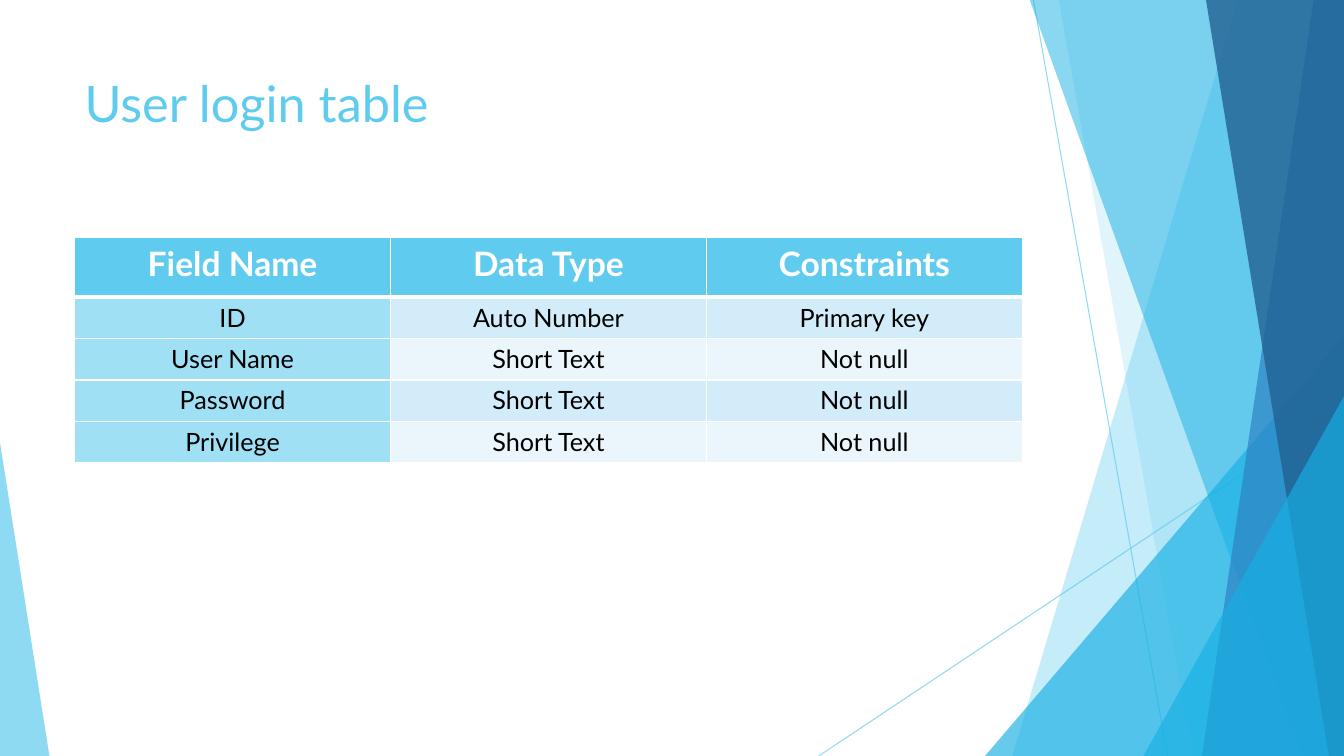
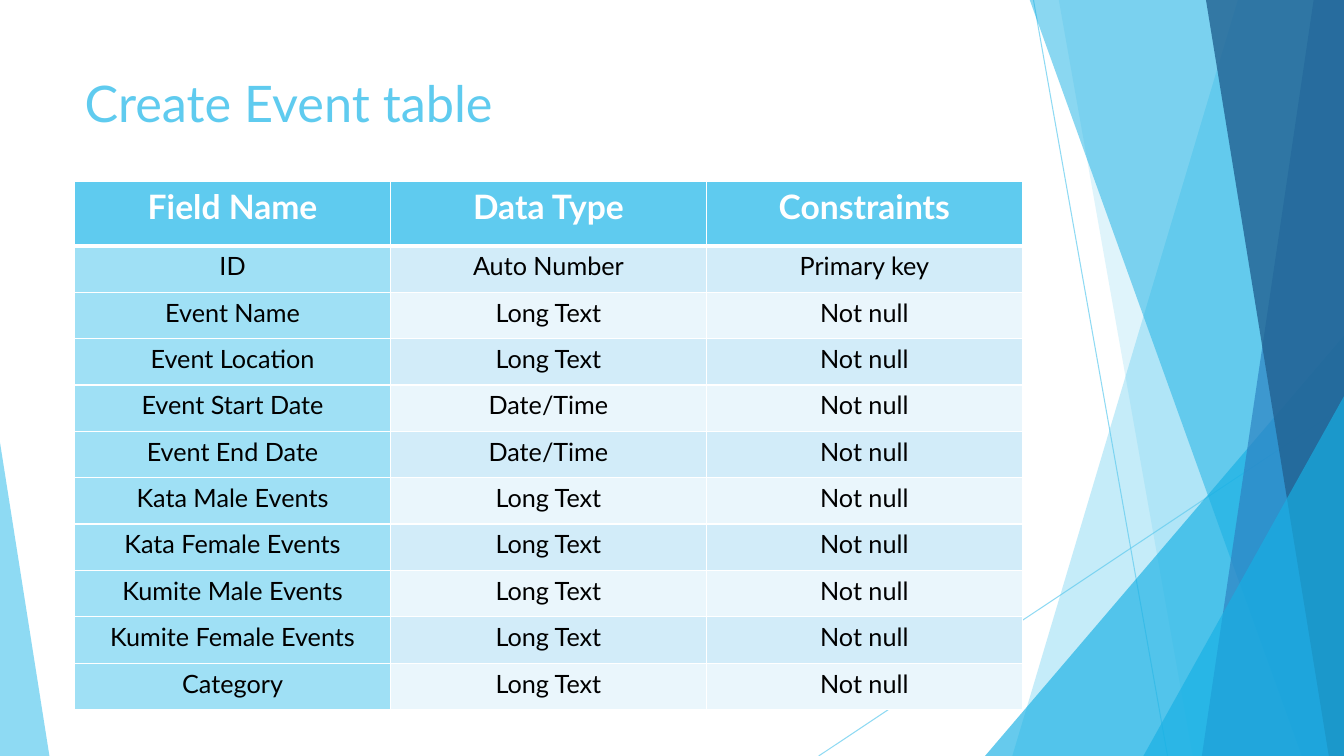
from lxml import etree
from pptx import Presentation
from pptx import util as u
from pptx.dml.color import RGBColor
from pptx.enum import shapes, text
from pptx.oxml import ns

PX = 9144  # EMU per px, 100 px to the inch
WIDTH, HEIGHT = 1333, 750
TOP = -1  # the bands start just above the slide

SKY = RGBColor(0x5F, 0xCB, 0xEF)
CYAN = RGBColor(0x17, 0xB0, 0xE4)
BLUE = RGBColor(0x2E, 0x83, 0xC3)
NAVY = RGBColor(0x22, 0x62, 0x92)
FIRST_COLUMN = RGBColor(0x9F, 0xE0, 0xF5)
DARK_ROW = RGBColor(0xD2, 0xEC, 0xF9)
LIGHT_ROW = RGBColor(0xEA, 0xF6, 0xFC)
WHITE = RGBColor(0xFF, 0xFF, 0xFF)
BLACK = RGBColor(0, 0, 0)

HEADINGS = ("Field Name", "Data Type", "Constraints")
LOGIN_FIELDS = [
    ("ID", "Auto Number", "Primary key"),
    ("User Name", "Short Text", "Not null"),
    ("Password", "Short Text", "Not null"),
    ("Privilege", "Short Text", "Not null"),
]
EVENT_FIELDS = [
    ("ID", "Auto Number", "Primary key"),
    ("Event Name", "Long Text", "Not null"),
    ("Event Location", "Long Text", "Not null"),
    ("Event Start Date", "Date/Time", "Not null"),
    ("Event End Date", "Date/Time", "Not null"),
    ("Kata Male Events", "Long Text", "Not null"),
    ("Kata Female Events", "Long Text", "Not null"),
    ("Kumite Male Events", "Long Text", "Not null"),
    ("Kumite Female Events", "Long Text", "Not null"),
    ("Category", "Long Text", "Not null"),
]


def px(*lengths):
    return [u.Emu(length * PX) for length in lengths]


def set_opacity(shape, percent):
    for color in shape._element.spPr.iter(ns.qn("a:srgbClr")):
        etree.SubElement(color, ns.qn("a:alpha"), val=str(percent * 1000))


class FieldDeck:
    """Holds the style and the current slide."""

    font = "Lato"
    left, content_width = 74, 940

    def __init__(self):
        self.deck = Presentation()
        self.deck.slide_width, self.deck.slide_height = px(WIDTH, HEIGHT)
        self.page = None

    def new_page(self):
        self.page = self.deck.slides.add_slide(self.deck.slide_layouts[6])
        self.backdrop()

    def backdrop(self):
        # Thin crossing lines
        self.line(1025, 0, 1158, HEIGHT)
        self.line(WIDTH, 403, 812, HEIGHT)
        # Overlapping bands on the right
        self.band(1228, 1004, SKY, 36)
        self.band(1050, 1183, SKY, 20)
        self.triangle(977, 333, 356, 1, CYAN, 66)
        self.band(1021, 1291, CYAN, 50)
        self.band(1303, 1192, BLUE, 70)
        self.band(1196, 1318, NAVY, 80)
        self.triangle(1134, 393, 199, 1, CYAN, 66)
        # Wedge in the lower left corner
        self.triangle(0, 439, 49, 0, SKY, 70)

    def line(self, x1, y1, x2, y2):
        line = self.page.shapes.add_connector(
            shapes.MSO_CONNECTOR.STRAIGHT, *px(x1, y1, x2, y2))
        line.line.color.rgb = SKY
        line.line.width = u.Pt(0.75)
        set_opacity(line, 70)
        etree.SubElement(line._element.spPr, ns.qn("a:effectLst"))

    def paint(self, shape, color, opacity):
        shape.shadow.inherit = False
        shape.fill.solid()
        shape.fill.fore_color.rgb = color
        shape.line.fill.background()
        set_opacity(shape, opacity)

    def band(self, top_x, bottom_x, color, opacity):
        """Fill from a slanted left edge to the right edge of the slide."""
        outline = self.page.shapes.build_freeform(top_x, TOP, scale=PX)
        outline.add_line_segments(
            [(WIDTH, TOP), (WIDTH, HEIGHT), (bottom_x, HEIGHT)], close=True)
        self.paint(outline.convert_to_shape(), color, opacity)

    def triangle(self, left, top, width, apex, color, opacity):
        """Stand a triangle on the bottom edge of the slide."""
        shape = self.page.shapes.add_shape(
            shapes.MSO_SHAPE.ISOSCELES_TRIANGLE,
            *px(left, top, width, HEIGHT - top))
        shape.adjustments[0] = apex
        self.paint(shape, color, opacity)

    def add_span(self, para, words, size, color, bold=False):
        span = para.add_run()
        span.text = words
        span.font.name = self.font
        span.font.size = u.Pt(size)
        span.font.bold = bold
        span.font.color.rgb = color

    def title(self, words, height):
        box = self.page.shapes.add_textbox(
            *px(self.left, 67, self.content_width, height))
        box.text_frame.word_wrap = True
        box.text_frame.vertical_anchor = text.MSO_ANCHOR.TOP
        self.add_span(box.text_frame.paragraphs[0], words, 36, SKY)

    def borders(self, cell, top, bottom):
        """Draw white borders; top and bottom widths are in points."""
        props = cell._tc.get_or_add_tcPr()
        for side, width in (("L", 1), ("R", 1), ("T", top), ("B", bottom)):
            edge = etree.SubElement(
                props, ns.qn(f"a:ln{side}"), w=str(int(u.Pt(width))))
            fill = etree.SubElement(edge, ns.qn("a:solidFill"))
            etree.SubElement(fill, ns.qn("a:srgbClr"), val=str(WHITE))

    def cell(self, cell, words, row, column):
        heading = row == 0
        self.borders(cell, 3 if row == 1 else 1, 3 if heading else 1)
        cell.fill.solid()
        if heading:
            cell.fill.fore_color.rgb = SKY
        elif column == 0:
            cell.fill.fore_color.rgb = FIRST_COLUMN
        else:
            cell.fill.fore_color.rgb = DARK_ROW if row % 2 else LIGHT_ROW
        para = cell.text_frame.paragraphs[0]
        para.alignment = text.PP_ALIGN.CENTER
        self.add_span(para, words, 24 if heading else 18,
                      WHITE if heading else BLACK, heading)

    def table(self, fields, top, heading_height, row_height):
        rows = [HEADINGS, *fields]
        height = heading_height + row_height * len(fields)
        table = self.page.shapes.add_table(
            len(rows), len(HEADINGS),
            *px(self.left, top, self.content_width, height)).table
        table.first_row = table.horz_banding = False
        for r, row in enumerate(rows):
            table.rows[r].height, = px(row_height if r else heading_height)
            for c, words in enumerate(row):
                self.cell(table.cell(r, c), words, r, c)


def main():
    pages = FieldDeck()

    # User login
    pages.new_page()
    pages.title("User login table", 144)
    pages.table(LOGIN_FIELDS, 236, 59, 41)

    # Create event
    pages.new_page()
    pages.title("Create Event table", 97)
    pages.table(EVENT_FIELDS, 180, 64, 46)

    pages.deck.save("out.pptx")


if __name__ == "__main__":
    main()
